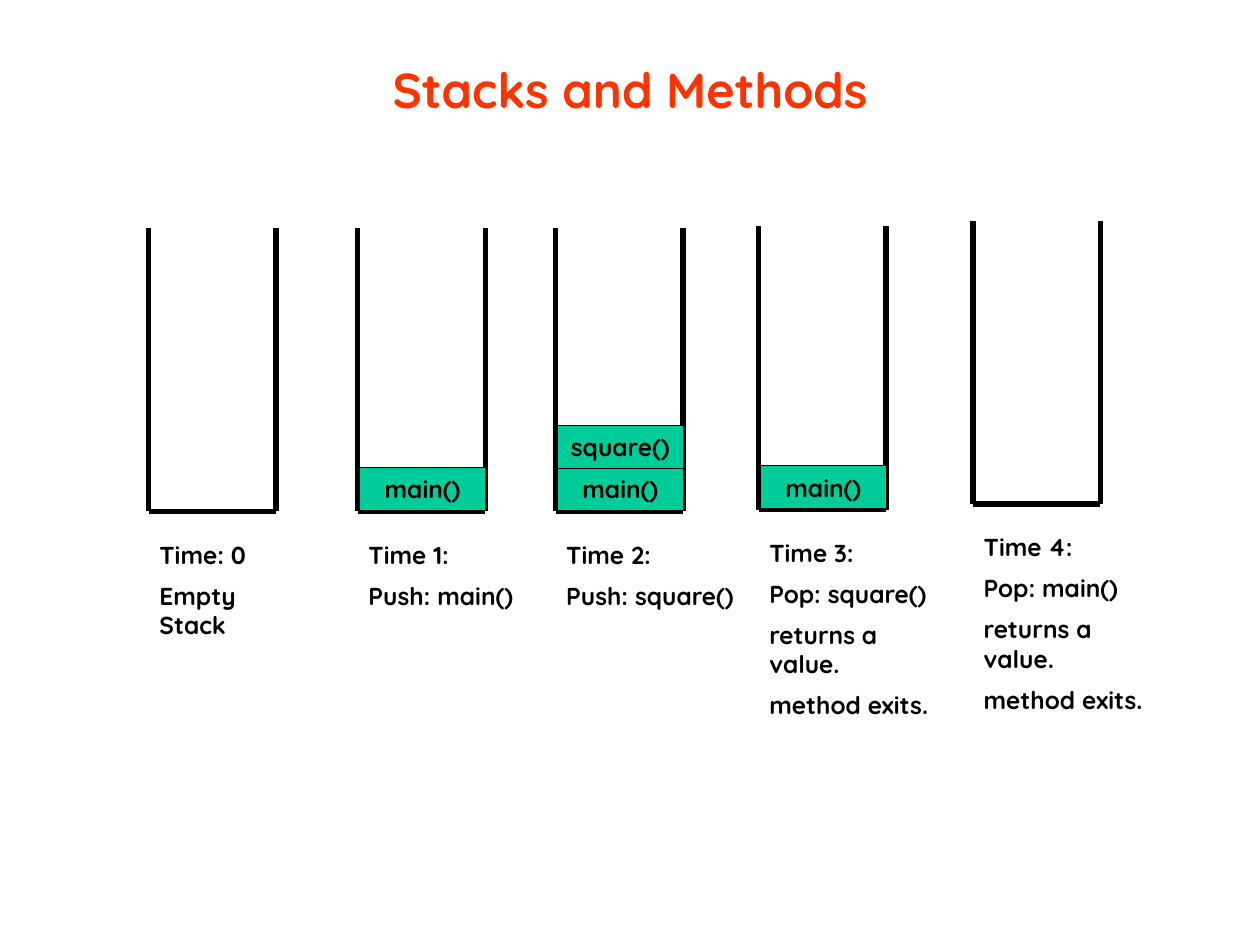
"""Draw a call stack at five moments while methods are pushed and popped."""
from dataclasses import dataclass

from lxml import etree
from pptx import Presentation
from pptx import util as u
from pptx.dml.color import RGBColor
from pptx.enum import shapes, text
from pptx.oxml.ns import qn
from pptx.shapes.base import BaseShape
from pptx.slide import Slide
from pptx.text.text import TextFrame


@dataclass(frozen=True)
class Theme:
    font: str = "Quicksand"
    title_size: float = 28
    body_size: float = 14
    paragraph_gap: float = 6.6
    wall_width: float = 3
    frame_width: float = 0.75
    title: RGBColor = RGBColor(0xFF, 0x33, 0x00)
    ink: RGBColor = RGBColor(0x00, 0x00, 0x00)
    block: RGBColor = RGBColor(0x00, 0xCC, 0x99)


@dataclass(frozen=True)
class Stack:
    left: float
    floor: float
    label_width: float
    label: tuple[str, ...]
    frames: tuple[str, ...] = ()


THEME = Theme()
STACK_WIDTH, STACK_HEIGHT = 72.75, 162
FRAME_WIDTH, FRAME_HEIGHT, FRAME_STEP = 72, 24.5, 24
LABEL_OFFSET, LINE_HEIGHT = 12.6, 24
EXIT_LINES = ("returns a value.", "method exits.")

STACKS = (
    Stack(85, 292.3, 98, ("Time: 0", "Empty Stack")),
    Stack(204.5, 292.3, 103, ("Time 1:", "Push: main()"), ("main()",)),
    Stack(317.5, 292.3, 116, ("Time 2:", "Push: square()"), ("main()", "square()")),
    Stack(433.5, 291.2, 117.5, ("Time 3:", "Pop: square()", *EXIT_LINES), ("main()",)),
    Stack(556, 288, 117.5, ("Time 4:", "Pop: main()", *EXIT_LINES)),
)


def write(frame: TextFrame, lines: tuple[str, ...], size: float, color: RGBColor,
          alignment: text.PP_ALIGN) -> None:
    """Fill a text frame with one bold paragraph per line."""
    frame.word_wrap = True
    for index, line in enumerate(lines):
        paragraph = frame.add_paragraph() if index else frame.paragraphs[0]
        paragraph.alignment = alignment
        if index:
            paragraph.space_before = u.Pt(THEME.paragraph_gap)
        run = paragraph.add_run()
        run.text = line
        run.font.name = THEME.font
        run.font.size = u.Pt(size)
        run.font.bold = True
        run.font.color.rgb = color


def add_text(slide: Slide, left: float, top: float, width: float, height: float) -> BaseShape:
    """Add an empty text box."""
    return slide.shapes.add_textbox(u.Pt(left), u.Pt(top), u.Pt(width), u.Pt(height))


def add_wall(slide: Slide, start: tuple[float, float], end: tuple[float, float]) -> None:
    """Draw one side of a stack."""
    wall = slide.shapes.add_connector(
        shapes.MSO_CONNECTOR.STRAIGHT, *(u.Pt(value) for value in (*start, *end)))
    wall.line.color.rgb = THEME.ink
    wall.line.width = u.Pt(THEME.wall_width)
    etree.SubElement(wall._element.spPr, qn("a:effectLst"))


def add_frame(slide: Slide, stack: Stack, level: int, name: str) -> None:
    """Draw one method frame at a level counted from the floor."""
    top = stack.floor - FRAME_HEIGHT - 0.5 - level * FRAME_STEP
    shape = slide.shapes.add_shape(
        shapes.MSO_SHAPE.RECTANGLE, u.Pt(stack.left + 1), u.Pt(top),
        u.Pt(FRAME_WIDTH), u.Pt(FRAME_HEIGHT))
    shape.shadow.inherit = False
    shape.fill.solid()
    shape.fill.fore_color.rgb = THEME.block
    shape.line.color.rgb = THEME.ink
    shape.line.width = u.Pt(THEME.frame_width)
    shape.text_frame.vertical_anchor = text.MSO_ANCHOR.MIDDLE
    write(shape.text_frame, (name,), THEME.body_size, THEME.ink, text.PP_ALIGN.CENTER)


def add_stack(slide: Slide, stack: Stack) -> None:
    """Draw a stack with its walls, label and frames."""
    right, rim = stack.left + STACK_WIDTH, stack.floor - STACK_HEIGHT
    corners = ((stack.left, rim), (stack.left, stack.floor),
               (right, stack.floor), (right, rim))
    for start, end in zip(corners, corners[1:]):
        add_wall(slide, start, end)
    label = add_text(slide, stack.left - 1, stack.floor + LABEL_OFFSET,
                     stack.label_width, LINE_HEIGHT * len(stack.label))
    write(label.text_frame, stack.label, THEME.body_size, THEME.ink, text.PP_ALIGN.LEFT)
    for level, name in enumerate(stack.frames):
        add_frame(slide, stack, level, name)


def main() -> None:
    """Build and save the slide."""
    presentation = Presentation()
    presentation.slide_width, presentation.slide_height = u.Pt(720), u.Pt(540)
    slide = presentation.slides.add_slide(presentation.slide_layouts[6])
    title = add_text(slide, 54, 6, 612, 90)
    title.text_frame.vertical_anchor = text.MSO_ANCHOR.MIDDLE
    write(title.text_frame, ("Stacks and Methods",), THEME.title_size, THEME.title,
          text.PP_ALIGN.CENTER)
    for stack in STACKS:
        add_stack(slide, stack)
    presentation.save("out.pptx")


if __name__ == "__main__":
    main()
